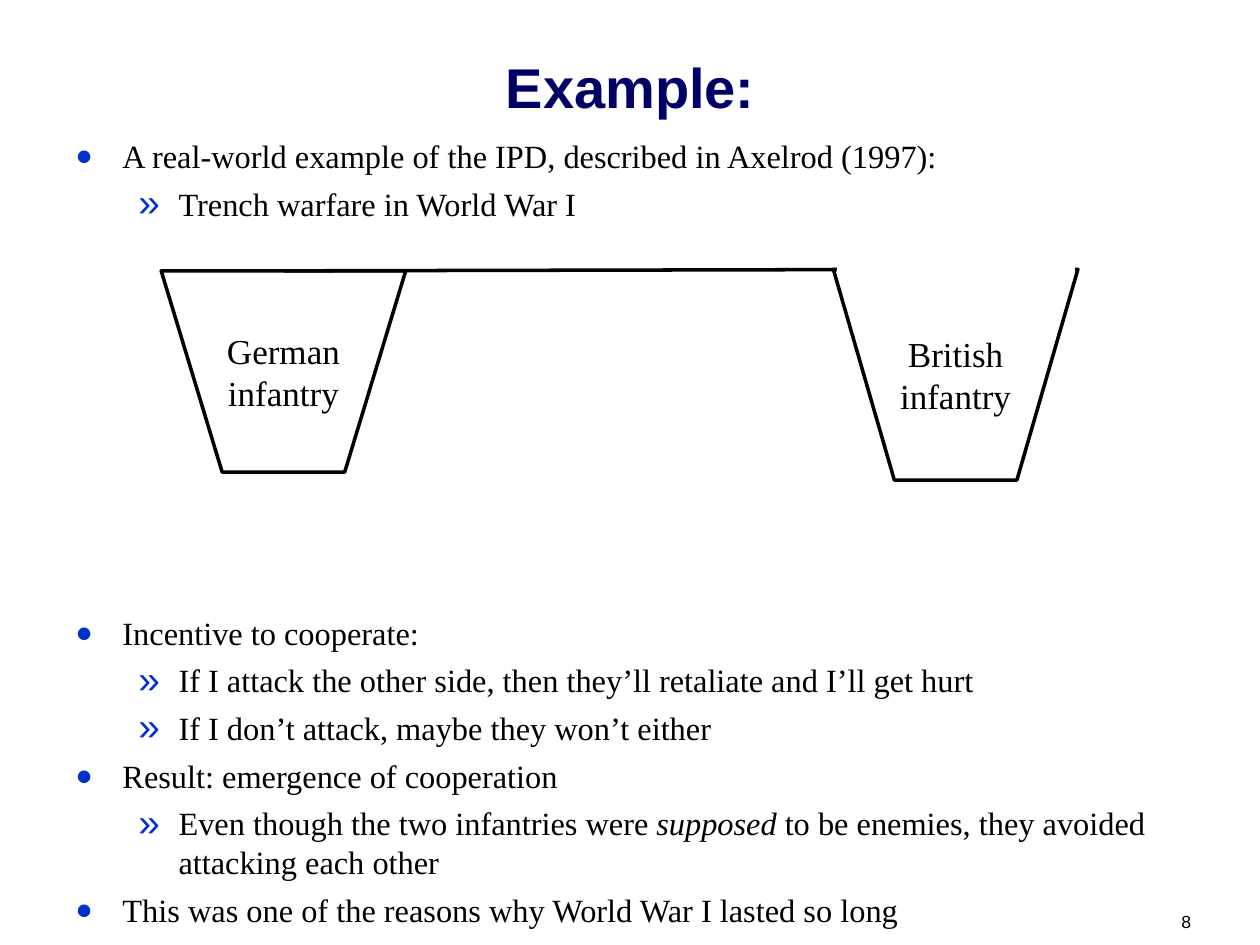
"""Build a slide on trench warfare as an example of the iterated prisoner's dilemma."""
from lxml import etree
from pptx import Presentation
from pptx.dml.color import RGBColor
from pptx.enum.shapes import MSO_CONNECTOR, MSO_SHAPE
from pptx.enum.text import MSO_ANCHOR, PP_ALIGN
from pptx.oxml.ns import qn
from pptx.util import Cm, Pt

BLACK = RGBColor(0x00, 0x00, 0x00)
WHITE = RGBColor(0xFF, 0xFF, 0xFF)
NAVY = RGBColor(0x00, 0x00, 0x66)
BLUE = RGBColor(0x00, 0x33, 0xCC)
CENTER, RIGHT = PP_ALIGN.CENTER, PP_ALIGN.RIGHT
TOP, MIDDLE, BOTTOM = MSO_ANCHOR.TOP, MSO_ANCHOR.MIDDLE, MSO_ANCHOR.BOTTOM
STRAIGHT, RECTANGLE = MSO_CONNECTOR.STRAIGHT, MSO_SHAPE.RECTANGLE
SERIF, SANS = "Times New Roman", "Arial"

LEVELS = [("●", 90, Cm(0.95), Cm(-0.95)), ("»", 120, Cm(2.08), Cm(-0.81))]
POINTS = [
    (0, 0, ["A real-world example of the IPD, described in Axelrod (1997):"]),
    (1, 5, ["Trench warfare in World War I"]),
    (0, 223, ["Incentive to cooperate:"]),
    (1, 5, ["If I attack the other side, then they’ll retaliate and I’ll get hurt"]),
    (1, 5, ["If I don’t attack, maybe they won’t either"]),
    (0, 5, ["Result: emergence of cooperation"]),
    (1, 5, ["Even though the two infantries were ", "supposed ",
            "to be enemies, they avoided attacking each other"]),
    (0, 5, ["This was one of the reasons why World War I lasted so long"]),
]
TRENCHES = [("German", 3.25, 5.46, 4.06), ("British", 16.8, 5.43, 4.25)]
TRENCH_WIDTH, TRENCH_SLOPE = 4.93, 1.23


def style_font(font, name, size, color):
    font.name, font.size = name, Pt(size)
    font.color.rgb = color


def add_bullet(paragraph, level):
    char, percent, margin, indent = LEVELS[level]
    properties = paragraph._p.get_or_add_pPr()
    properties.set("marL", str(margin))
    properties.set("indent", str(indent))
    color = etree.SubElement(properties, qn("a:buClr"))
    etree.SubElement(color, qn("a:srgbClr"), val=str(BLUE))
    etree.SubElement(properties, qn("a:buSzPct"), val=str(percent * 1000))
    etree.SubElement(properties, qn("a:buFont"), typeface=SANS)
    etree.SubElement(properties, qn("a:buChar"), char=char)


prs = Presentation()
prs.slide_width, prs.slide_height = Cm(25.4), Cm(19.05)
slide = prs.slides.add_slide(prs.slide_layouts[6])
shapes = slide.shapes

for text, box, anchor, align, size, color, bold in [
    ("8", (23.14, 18.25, 1.12, 0.66), TOP, RIGHT, 10, BLACK, False),
    ("Example:", (0.43, 0.28, 24.56, 2.26), BOTTOM, CENTER, 32, NAVY, True),
]:
    frame = shapes.add_textbox(*map(Cm, box)).text_frame
    frame.word_wrap = True
    frame.vertical_anchor = anchor
    frame.text = text
    line = frame.paragraphs[0]
    line.alignment = align
    style_font(line.runs[0].font, SANS, size, color)
    line.runs[0].font.bold = bold

body = shapes.add_textbox(Cm(1.27), Cm(2.62), Cm(22.86), Cm(15.21)).text_frame
body.word_wrap = True
for index, (level, gap, pieces) in enumerate(POINTS):
    point = body.add_paragraph() if index else body.paragraphs[0]
    point.level = level
    add_bullet(point, level)
    if gap:
        point.space_before = Pt(gap)
    for piece in pieces:
        run = point.add_run()
        run.text = piece
        style_font(run.font, SERIF, 18.5, BLACK)
        run.font.italic = piece == "supposed "

for side, left, top, depth in TRENCHES:
    right, bottom = left + TRENCH_WIDTH, top + depth
    outline = shapes.build_freeform(Cm(left), Cm(top))
    outline.add_line_segments([
        (Cm(left + TRENCH_SLOPE), Cm(bottom)),
        (Cm(right - TRENCH_SLOPE), Cm(bottom)),
        (Cm(right), Cm(top)),
    ], close=True)
    trench = outline.convert_to_shape()
    trench.shadow.inherit = False
    trench.fill.background()
    trench.line.color.rgb = BLACK
    trench.line.width = Pt(2)
    label = trench.text_frame
    label.word_wrap = False
    label.vertical_anchor = MIDDLE
    label.text = f"{side}\ninfantry"
    for line in label.paragraphs:
        line.alignment = CENTER
        style_font(line.runs[0].font, SERIF, 20, BLACK)

ground = shapes.add_connector(STRAIGHT, Cm(5.72), Cm(5.46), Cm(19.25), Cm(5.43))
ground.line.color.rgb = BLACK
ground.line.width = Pt(2)
etree.SubElement(ground._element.spPr, qn("a:effectLst"))

opening = shapes.add_shape(RECTANGLE, Cm(16.87), Cm(4.6), Cm(4.8), Cm(0.91))
opening.shadow.inherit = False
opening.fill.solid()
opening.fill.fore_color.rgb = WHITE
opening.line.fill.background()

prs.save("out.pptx")
